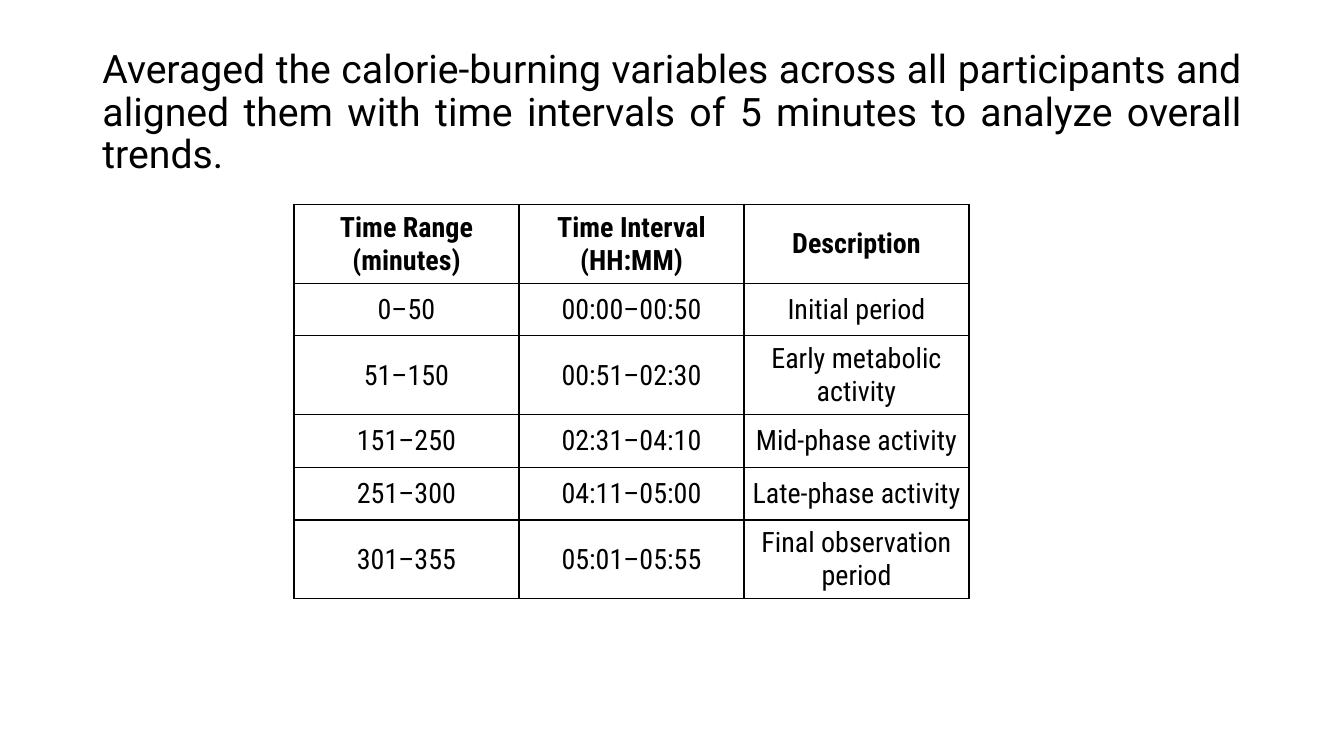
from dataclasses import dataclass

from lxml import etree
from pptx import Presentation
from pptx import util as u
from pptx.dml.color import RGBColor
from pptx.enum import text as t
from pptx.oxml import ns

BLACK = RGBColor(0, 0, 0)
WHITE = RGBColor(255, 255, 255)
TITLE = (
    "Averaged the calorie-burning variables across all participants and "
    "aligned them with time intervals of 5 minutes to analyze overall trends."
)
WIDTH = 160.75
LOW, TALL = 37.6, 56.3


@dataclass(frozen=True)
class Row:
    range: str
    time: str
    label: str
    height: float = LOW
    bold: bool = False


ROWS = [
    Row("Time Range (minutes)", "Time Interval (HH:MM)", "Description", TALL, True),
    Row("0–50", "00:00–00:50", "Initial period"),
    Row("51–150", "00:51–02:30", "Early metabolic activity", TALL),
    Row("151–250", "02:31–04:10", "Mid-phase activity"),
    Row("251–300", "04:11–05:00", "Late-phase activity"),
    Row("301–355", "05:01–05:55", "Final observation period", TALL),
]


def write(par, words: str, face: str, size: float, bold: bool = False) -> None:
    run = par.add_run()
    run.text = words
    run.font.name = face
    run.font.size = u.Pt(size)
    run.font.bold = bold
    run.font.color.rgb = BLACK


def border(cell) -> None:
    props = cell._tc.get_or_add_tcPr()
    for side in ("lnL", "lnR", "lnT", "lnB"):
        line = etree.SubElement(props, ns.qn(f"a:{side}"), w=str(u.Pt(1)))
        fill = etree.SubElement(line, ns.qn("a:solidFill"))
        etree.SubElement(fill, ns.qn("a:srgbClr"), val=str(BLACK))


def draw_cell(cell, words: str, bold: bool) -> None:
    border(cell)
    cell.fill.solid()
    cell.fill.fore_color.rgb = WHITE
    cell.vertical_anchor = t.MSO_ANCHOR.MIDDLE
    cell.margin_left = cell.margin_right = cell.margin_top = u.Pt(0.6)
    cell.margin_bottom = u.Pt(0)
    par = cell.text_frame.paragraphs[0]
    par.alignment = t.PP_ALIGN.CENTER
    write(par, words, "Roboto Condensed", 20, bold)


def draw_title(slide) -> None:
    title = slide.shapes.title
    title.left, title.top = u.Pt(66), u.Pt(28.75)
    title.width, title.height = u.Pt(828), u.Pt(104.4)
    frame = title.text_frame
    frame.word_wrap = True
    frame.auto_size = t.MSO_AUTO_SIZE.NONE
    frame.vertical_anchor = t.MSO_ANCHOR.MIDDLE
    par = frame.paragraphs[0]
    par.alignment = t.PP_ALIGN.JUSTIFY
    par.line_spacing = 0.9
    write(par, TITLE, "Roboto", 28)


def draw_table(slide) -> None:
    high = sum(row.height for row in ROWS)
    table = slide.shapes.add_table(
        len(ROWS), 3, u.Pt(210), u.Pt(146), u.Pt(3 * WIDTH), u.Pt(high)
    ).table
    table.first_row = table.horz_banding = False
    for col in table.columns:
        col.width = u.Pt(WIDTH)
    for line, row in zip(table.rows, ROWS):
        line.height = u.Pt(row.height)
        for cell, words in zip(line.cells, (row.range, row.time, row.label)):
            draw_cell(cell, words, row.bold)


def main() -> None:
    deck = Presentation()
    deck.slide_width, deck.slide_height = u.Pt(960), u.Pt(540)
    slide = deck.slides.add_slide(deck.slide_layouts[5])
    slide.background.fill.solid()
    slide.background.fill.fore_color.rgb = WHITE
    draw_title(slide)
    draw_table(slide)
    deck.save("out.pptx")


if __name__ == "__main__":
    main()
